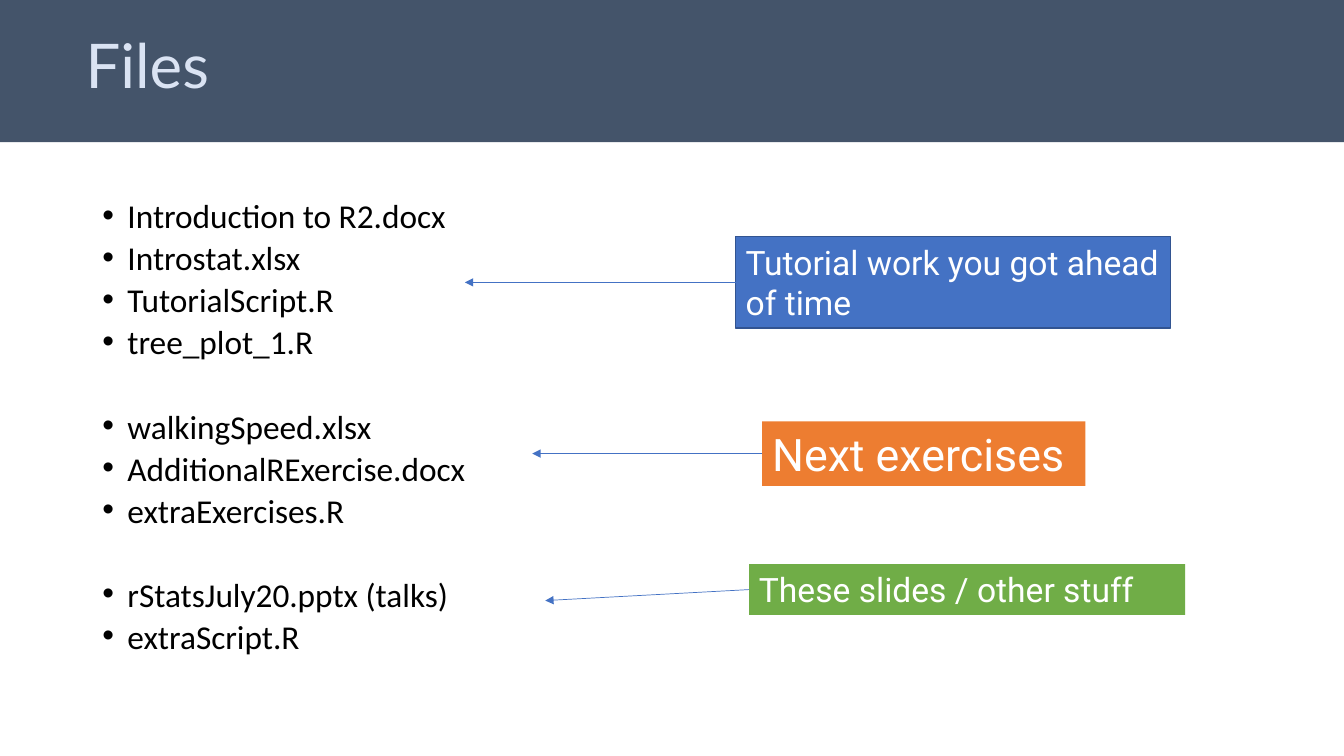
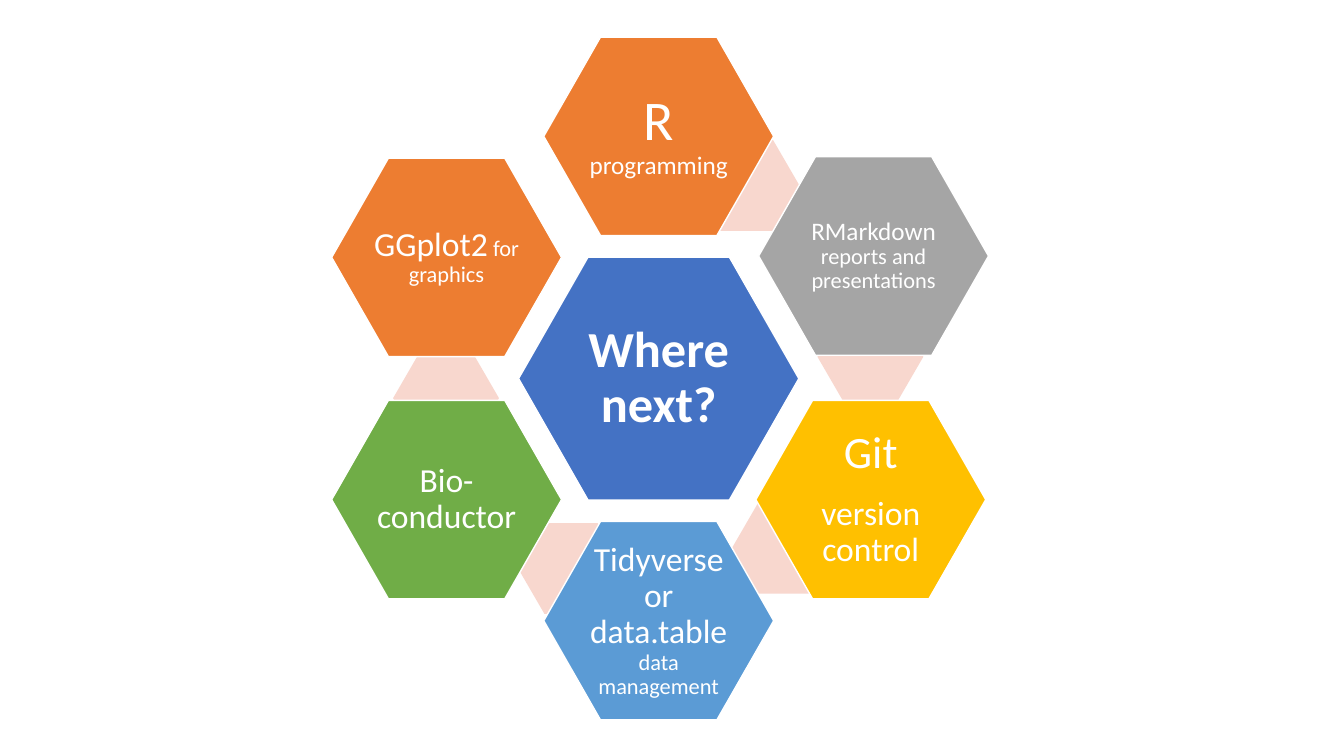
from dataclasses import dataclass

from lxml.etree import SubElement as Sub
from pptx import Presentation
from pptx.dml.color import RGBColor
from pptx.enum.shapes import MSO_CONNECTOR as Conn, MSO_SHAPE as Form
from pptx.enum.text import MSO_ANCHOR as Anchor, MSO_AUTO_SIZE as Auto, PP_ALIGN as Align
from pptx.oxml.ns import qn
from pptx.shapes.autoshape import Shape
from pptx.slide import Slide
from pptx.util import Pt

WIDE, HIGH = 960, 540
SLATE, PALE, BLACK, WHITE = "44546A", "DAE3F3", "000000", "FFFFFF"
BLUE, NAVY, ORANGE, GREEN = "4472C4", "325491", "ED7D31", "70AD47"
GREY, GOLD, SKY, PINK = "A5A5A5", "FFC000", "5B9BD5", "F8D7CE"
HEAD, BODY, NOTE = "Lato", "Calibri", "Roboto"


@dataclass
class Label:
    text: str
    box: tuple[float, float, float, float]
    fill: str
    size: float
    tip: tuple[float, float]
    edge: str | None = None


@dataclass
class Petal:
    col: int
    row: int
    fill: str
    paras: list[list[tuple[str, float]]]
    pad: float = 2
    shift: tuple[float, float] = (0, 0)


FILES = [
    ["Introduction to R2.docx", "Introstat.xlsx", "TutorialScript.R", "tree_plot_1.R"],
    ["walkingSpeed.xlsx", "AdditionalRExercise.docx", "extraExercises.R"],
    ["rStatsJuly20.pptx (talks)", "extraScript.R"],
]
LABELS = [
    Label("Tutorial work you got ahead of time", (525.6, 169, 310.4, 65.4),
          BLUE, 24, (332, 201.7), NAVY),
    Label("Next exercises", (544.4, 301, 231, 46), ORANGE, 32, (380.2, 324)),
    Label("These slides / other stuff", (535, 403, 311.6, 36.3), GREEN, 24, (389.5, 429)),
]
HUB = (470.5, 270.4)
STEP = (151.5, 86.5)
CORE, LEAF, LINK = (200.2, 173.5), (164.2, 141.8), (75.6, 64.8)
LINKS = [(533.2, 132.5), (621.7, 254.9), (560.5, 391.7), (407.9, 406.1), (318.6, 284.4)]
PETALS = [
    Petal(0, -2, ORANGE, [[("R", 40), (" programming", 18)]], 4),
    Petal(1, -1, GREY, [[("RMarkdown ", 18), ("reports and presentations", 16)]],
          shift=(2, -1)),
    Petal(1, 1, GOLD, [[("Git", 32)], [("version control", 24)]], 3),
    Petal(0, 2, SKY, [[("Tidyverse or data.table", 24), (" ", 18), ("data management", 16)]]),
    Petal(-1, 1, GREEN, [[("Bio-conductor", 24)]]),
    Petal(-1, -1, ORANGE, [[("GGplot2", 24), (" for graphics", 16)]]),
]


def tint(code: str) -> RGBColor:
    return RGBColor.from_string(code)


def style(run, size: float, face: str, hue: str, bold: bool = False) -> None:
    run.font.size = Pt(size)
    run.font.name = face
    run.font.bold = bold
    run.font.color.rgb = tint(hue)


def paint(shape: Shape, fill: str, edge: str | None = None) -> None:
    shape.fill.solid()
    shape.fill.fore_color.rgb = tint(fill)
    if edge:
        shape.line.color.rgb = tint(edge)
        shape.line.width = Pt(1)
    else:
        shape.line.fill.background()


def place(shape: Shape, box: tuple[float, float, float, float]) -> None:
    shape.left, shape.top, shape.width, shape.height = map(Pt, box)


def inset(shape: Shape, left: float, top: float, right: float, low: float) -> None:
    frame = shape.text_frame
    frame.margin_left, frame.margin_top = Pt(left), Pt(top)
    frame.margin_right, frame.margin_bottom = Pt(right), Pt(low)


def add_title(slide: Slide, text: str) -> None:
    title = slide.shapes.title
    place(title, (-6.5, -7.2, WIDE + 13.4, 108.7))
    paint(title, SLATE)
    inset(title, 67.7, 3.6, 7.2, 0)
    frame = title.text_frame
    frame.text = text
    frame.auto_size = Auto.NONE
    frame.vertical_anchor = Anchor.MIDDLE
    para = frame.paragraphs[0]
    para.alignment = Align.LEFT
    para.line_spacing = 0.9
    style(para.runs[0], 44, HEAD, PALE)


def add_files(slide: Slide) -> None:
    frame = slide.shapes.add_textbox(Pt(66), Pt(144), Pt(828), Pt(342.7)).text_frame
    frame.word_wrap = True
    frame.text = "\n".join(name for group in FILES for name in group)
    heads = {group[0] for group in FILES[1:]}
    for para in frame.paragraphs:
        para.line_spacing = 0.7
        para.space_before = Pt(40.3 if para.text in heads else 10)
        style(para.runs[0], 23.8, BODY, BLACK)
        props = para._p.get_or_add_pPr()
        props.set("marL", str(Pt(18)))
        props.set("indent", str(Pt(-18)))
        Sub(props, qn("a:buFont"), typeface="Arial")
        Sub(props, qn("a:buChar"), char="•")


def add_label(slide: Slide, label: Label) -> None:
    box = slide.shapes.add_shape(Form.RECTANGLE, *map(Pt, label.box))
    box.shadow.inherit = False
    paint(box, label.fill, label.edge)
    frame = box.text_frame
    frame.word_wrap = True
    frame.vertical_anchor = Anchor.TOP
    frame.text = label.text
    para = frame.paragraphs[0]
    para.alignment = Align.LEFT
    style(para.runs[0], label.size, NOTE, WHITE)

    end = [Pt(v) for v in label.tip]
    arrow = slide.shapes.add_connector(Conn.STRAIGHT, box.left, box.top, *end)
    arrow.begin_connect(box, 1)
    arrow.line.color.rgb = tint(BLUE)
    arrow.line.width = Pt(0.5)
    Sub(arrow.line._get_or_add_ln(), qn("a:tailEnd"), type="triangle")
    Sub(arrow._element.spPr, qn("a:effectLst"))


def add_hex(slide: Slide, mid: tuple[float, float], size: tuple[float, float],
            fill: str, edge: str | None = None, bend: float = 0.29) -> Shape:
    (x, y), (w, h) = mid, size
    cell = slide.shapes.add_shape(Form.HEXAGON, Pt(x - w / 2), Pt(y - h / 2), Pt(w), Pt(h))
    cell.adjustments[0] = bend
    cell.shadow.inherit = False
    paint(cell, fill, edge)
    return cell


def write(cell: Shape, paras: list[list[tuple[str, float]]], pad: float,
          bold: bool = False) -> None:
    inset(cell, pad, pad, pad, pad)
    frame = cell.text_frame
    frame.word_wrap = True
    frame.vertical_anchor = Anchor.MIDDLE
    for i, parts in enumerate(paras):
        para = frame.add_paragraph() if i else frame.paragraphs[0]
        para.alignment = Align.CENTER
        para.line_spacing = 0.9
        para.space_after = Pt(13)
        for text, size in parts:
            run = para.add_run()
            run.text = text
            style(run, size, BODY, WHITE, bold)


def add_wheel(slide: Slide) -> None:
    core = add_hex(slide, HUB, CORE, BLUE, WHITE, 0.286)
    write(core, [[("Where next?", 36)]], 3.6, True)
    for mid in LINKS:
        add_hex(slide, mid, LINK, PINK)
    for leaf in PETALS:
        x = HUB[0] + leaf.col * STEP[0] + leaf.shift[0]
        y = HUB[1] + leaf.row * STEP[1] + leaf.shift[1]
        cell = add_hex(slide, (x, y), LEAF, leaf.fill, WHITE, 0.286)
        write(cell, leaf.paras, leaf.pad)


def main() -> None:
    deck = Presentation()
    deck.slide_width, deck.slide_height = Pt(WIDE), Pt(HIGH)
    files = deck.slides.add_slide(deck.slide_layouts[5])
    add_title(files, "Files")
    add_files(files)
    for label in LABELS:
        add_label(files, label)
    add_wheel(deck.slides.add_slide(deck.slide_layouts[6]))
    deck.save("out.pptx")


if __name__ == "__main__":
    main()
